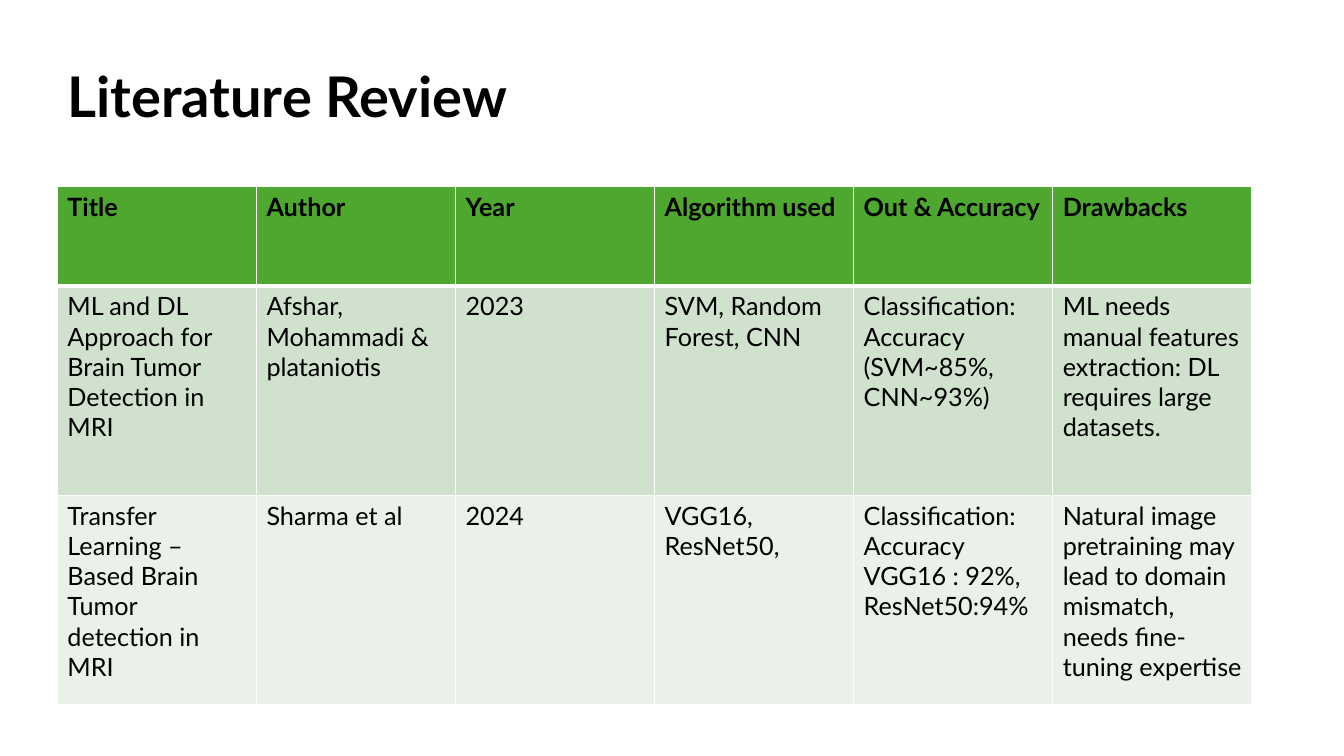
import dataclasses

import lxml.etree
import pptx
import pptx.dml.color
import pptx.enum.text
import pptx.oxml.ns
import pptx.util

Pt = pptx.util.Pt


@dataclasses.dataclass(frozen=True)
class Theme:
    font: str = "Lato"
    ink: str = "000000"
    rule: str = "FFFFFF"
    head: str = "4EA72E"
    odd: str = "D0E1CD"
    even: str = "E9F1E8"
    title: float = 40
    body: float = 18
    thin: float = 1
    thick: float = 3


@dataclasses.dataclass(frozen=True)
class Row:
    high: float
    fill: str
    cells: tuple[str, ...]
    bold: bool = False
    top: float = 1
    base: float = 1


THEME = Theme()
LEFT, WIDE = 41, 853.2
ROWS = (
    Row(71, THEME.head,
        ("Title", "Author", "Year", "Algorithm used", "Out & Accuracy", "Drawbacks"),
        bold=True, base=THEME.thick),
    Row(149.5, THEME.odd,
        ("ML and DL Approach for Brain Tumor Detection in MRI",
         "Afshar, Mohammadi & plataniotis",
         "2023",
         "SVM, Random Forest, CNN",
         "Classification: Accuracy (SVM~85%, CNN~93%)",
         "ML needs manual features extraction: DL requires large datasets."),
        top=THEME.thick),
    Row(149.5, THEME.even,
        ("Transfer Learning –Based Brain Tumor detection in MRI",
         "Sharma et al",
         "2024",
         "VGG16, ResNet50,",
         "Classification:\nAccuracy VGG16 : 92%,\nResNet50:94%",
         "Natural image pretraining may lead to domain mismatch, needs fine- tuning expertise")),
)


def tint(code: str) -> pptx.dml.color.RGBColor:
    return pptx.dml.color.RGBColor.from_string(code)


def write(frame, text: str, size: float, bold: bool, space: float = 1.0) -> None:
    for spot, line in enumerate(text.split("\n")):
        para = frame.add_paragraph() if spot else frame.paragraphs[0]
        para.alignment = pptx.enum.text.PP_ALIGN.LEFT
        para.line_spacing = space
        run = para.add_run()
        run.text = line
        run.font.name = THEME.font
        run.font.size = Pt(size)
        run.font.bold = bold
        run.font.color.rgb = tint(THEME.ink)


def edge(cell, side: str, width: float) -> None:
    name = pptx.oxml.ns.qn
    props = cell._tc.get_or_add_tcPr()
    line = lxml.etree.SubElement(props, name(f"a:ln{side}"), w=str(Pt(width)))
    fill = lxml.etree.SubElement(line, name("a:solidFill"))
    lxml.etree.SubElement(fill, name("a:srgbClr"), val=THEME.rule)


def draw_title(slide, text: str) -> None:
    title = slide.shapes.title
    title.left, title.top = Pt(LEFT), Pt(28.8)
    title.width, title.height = Pt(WIDE), Pt(85)
    frame = title.text_frame
    frame.word_wrap = True
    frame.auto_size = pptx.enum.text.MSO_AUTO_SIZE.NONE
    frame.vertical_anchor = pptx.enum.text.MSO_ANCHOR.MIDDLE
    write(frame, text, THEME.title, True, 0.9)


def draw_table(slide, rows: tuple[Row, ...]) -> None:
    count = len(rows[0].cells)
    high = sum(row.high for row in rows)
    grid = slide.shapes.add_table(
        len(rows), count, Pt(LEFT), Pt(133.2), Pt(WIDE), Pt(high)).table
    for col in grid.columns:
        col.width = Pt(WIDE / count)
    for line, row in zip(grid.rows, rows):
        line.height = Pt(row.high)
        sides = {"L": THEME.thin, "R": THEME.thin, "T": row.top, "B": row.base}
        for cell, text in zip(line.cells, row.cells):
            for side, width in sides.items():
                edge(cell, side, width)
            cell.fill.solid()
            cell.fill.fore_color.rgb = tint(row.fill)
            write(cell.text_frame, text, THEME.body, row.bold)


def main() -> None:
    deck = pptx.Presentation()
    deck.slide_width, deck.slide_height = Pt(960), Pt(540)
    slide = deck.slides.add_slide(deck.slide_layouts[5])
    draw_title(slide, "Literature Review")
    draw_table(slide, ROWS)
    deck.save("out.pptx")


if __name__ == "__main__":
    main()
